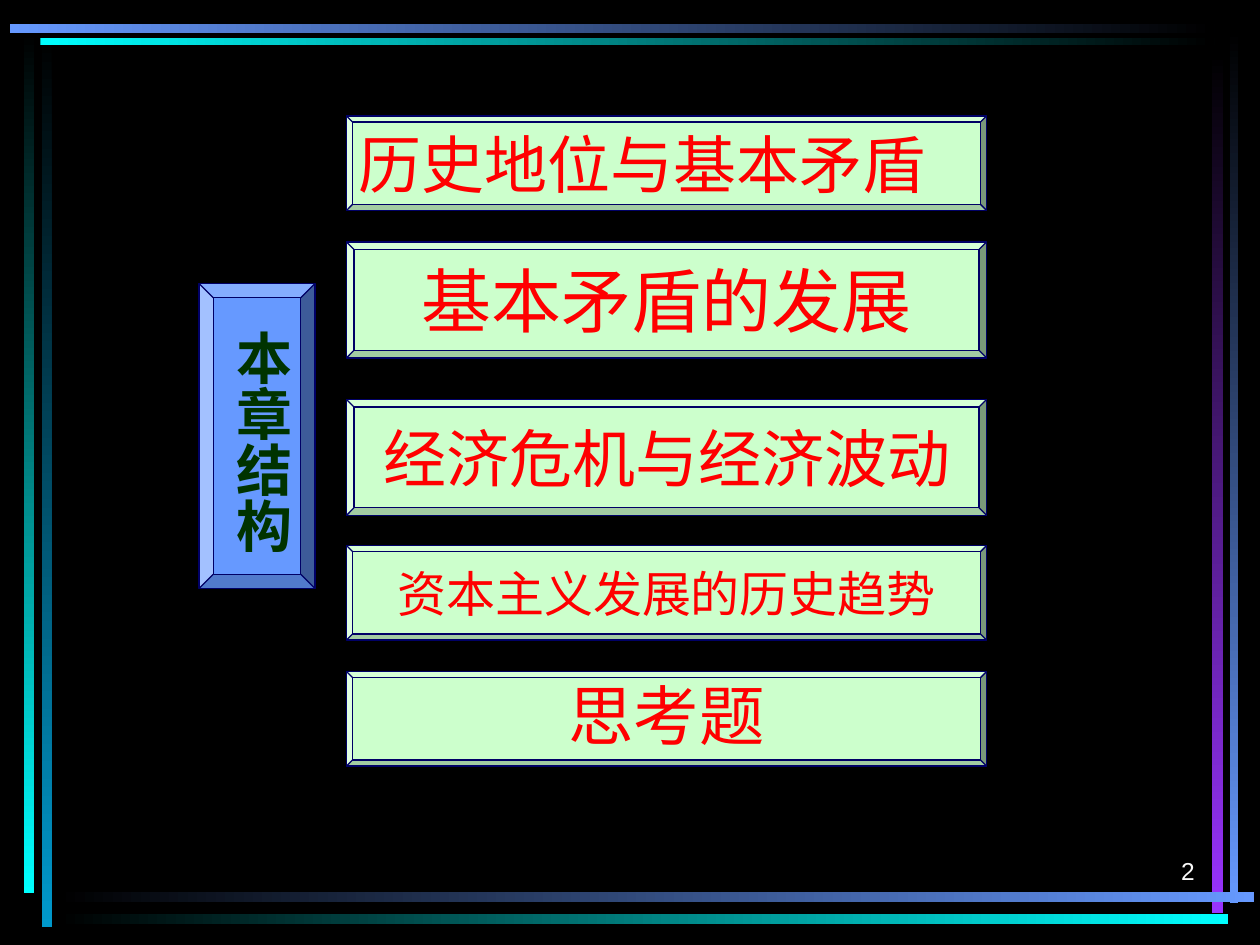
from pptx import Presentation
from pptx.dml.color import RGBColor
from pptx.enum.shapes import MSO_SHAPE
from pptx.enum.text import MSO_ANCHOR, MSO_AUTO_SIZE, PP_ALIGN
from pptx.oxml.ns import qn
from pptx.util import Inches, Pt
from lxml.etree import SubElement

LATIN, CJK = "Arial", "Noto Sans CJK SC"
BLACK, BLUE, CYAN, TEAL, PURPLE = "000000", "6699FF", "00FFFF", "0099CC", "9933FF"
GREEN, NAVY, RED, DARK_GREEN, WHITE = "CCFFCC", "000066", "FF0000", "003300", "F8F8F8"


def color(value):
    """Turn a hex string into a colour."""
    return RGBColor.from_string(value)


class Deck:
    """Hold the current slide and draw its styled elements."""

    def __init__(self, s):
        """Keep the slide and paint its background."""
        self.s = s
        s.background.fill.solid()
        s.background.fill.fore_color.rgb = color(BLACK)

    def shape(self, kind, box):
        """Add a preset shape without a shadow."""
        sp = self.s.shapes.add_shape(kind, *map(Inches, box))
        sp.shadow.inherit = False
        return sp

    def bar(self, box, start, end):
        """Add a frame bar that fades along its length."""
        sp = self.shape(MSO_SHAPE.RECTANGLE, box)
        sp.line.fill.background()
        sp.fill.gradient()
        sp.fill.gradient_angle = 270 if box[3] > box[2] else 0
        for stop, value in zip(sp.fill.gradient_stops, (start, end)):
            stop.color.rgb = color(value)

    def bevel(self, box, fill, depth):
        """Add a bevelled button."""
        sp = self.shape(MSO_SHAPE.BEVEL, box)
        sp.adjustments[0] = depth
        sp.fill.solid()
        sp.fill.fore_color.rgb = color(fill)
        sp.line.color.rgb = color(NAVY)
        sp.line.width = Pt(0.75)
        return sp

    def put_text(self, tf, text, size, font, value, align=PP_ALIGN.LEFT, bold=False):
        """Fill a text frame with one styled paragraph."""
        p = tf.paragraphs[0]
        p.text = text
        p.alignment = align
        r = p.runs[0]
        r.font.size, r.font.name, r.font.bold = Pt(size), font, bold
        r.font.color.rgb = color(value)
        if font == CJK:
            SubElement(r._r.get_or_add_rPr(), qn("a:ea")).set("typeface", font)
        return p

    def topic(self, top, height, text, size, align):
        """Add a topic button with its text."""
        tf = self.bevel((2.75, top, 5.08, height), GREEN, 0.065).text_frame
        tf.margin_left = tf.margin_right = Inches(0.05)
        tf.margin_top = tf.margin_bottom = 0
        tf.vertical_anchor = MSO_ANCHOR.MIDDLE
        return self.put_text(tf, text, size, CJK, RED, align)

    def textbox(self, box):
        """Add a text box and return its text frame."""
        return self.s.shapes.add_textbox(*map(Inches, box)).text_frame

    def number(self, box, text):
        """Add the page number."""
        tf = self.textbox(box)
        tf.word_wrap = True
        tf.vertical_anchor = MSO_ANCHOR.BOTTOM
        self.put_text(tf, text, 14, LATIN, WHITE, PP_ALIGN.RIGHT)

    def vertical_label(self, box, text):
        """Add a label that reads from top to bottom."""
        tf = self.textbox(box)
        tf.word_wrap = False
        tf.auto_size = MSO_AUTO_SIZE.SHAPE_TO_FIT_TEXT
        tf.margin_left = tf.margin_right = Inches(0.05)
        tf.margin_top = tf.margin_bottom = Inches(0.1)
        tf._txBody.bodyPr.set("vert", "eaVert")
        self.put_text(tf, text, 32, LATIN, DARK_GREEN, bold=True)


def main():
    """Build the chapter structure slide."""
    prs = Presentation()
    prs.slide_width, prs.slide_height = Inches(10), Inches(7.5)
    deck = Deck(prs.slides.add_slide(prs.slide_layouts[6]))

    for box, start, end in (
        ((0.33, 0.28, 0.08, 7.08), BLACK, TEAL),
        ((0.19, 0.25, 0.08, 6.84), BLACK, CYAN),
        ((9.76, 0.24, 0.07, 6.93), BLACK, BLUE),
        ((9.62, 0.42, 0.09, 6.83), BLACK, PURPLE),
        ((0.45, 7.08, 9.5, 0.08), BLACK, BLUE),
        ((0.45, 7.25, 9.3, 0.08), BLACK, CYAN),
        ((0.32, 0.3, 9.32, 0.06), CYAN, BLACK),
        ((0.08, 0.19, 9.56, 0.07), BLUE, BLACK),
    ):
        deck.bar(box, start, end)

    deck.number((7.5, 6.58, 2.08, 0.5), "2")
    deck.bevel((1.58, 2.25, 0.92, 2.42), BLUE, 0.122)
    for top, height, text, size, align in (
        (0.92, 0.75, "历史地位与基本矛盾", 36, PP_ALIGN.LEFT),
        (1.92, 0.92, "基本矛盾的发展", 40, PP_ALIGN.CENTER),
        (3.17, 0.92, "经济危机与经济波动", 36, PP_ALIGN.CENTER),
        (4.33, 0.75, "资本主义发展的历史趋势", 28, PP_ALIGN.CENTER),
        (5.33, 0.75, "思考题", 37.4, PP_ALIGN.CENTER),
    ):
        p = deck.topic(top, height, text, size, align)
    p.line_spacing = 0.9
    deck.vertical_label((1.67, 2.52, 0.73, 1.88), "本章结构")

    prs.save("out.pptx")


if __name__ == "__main__":
    main()
